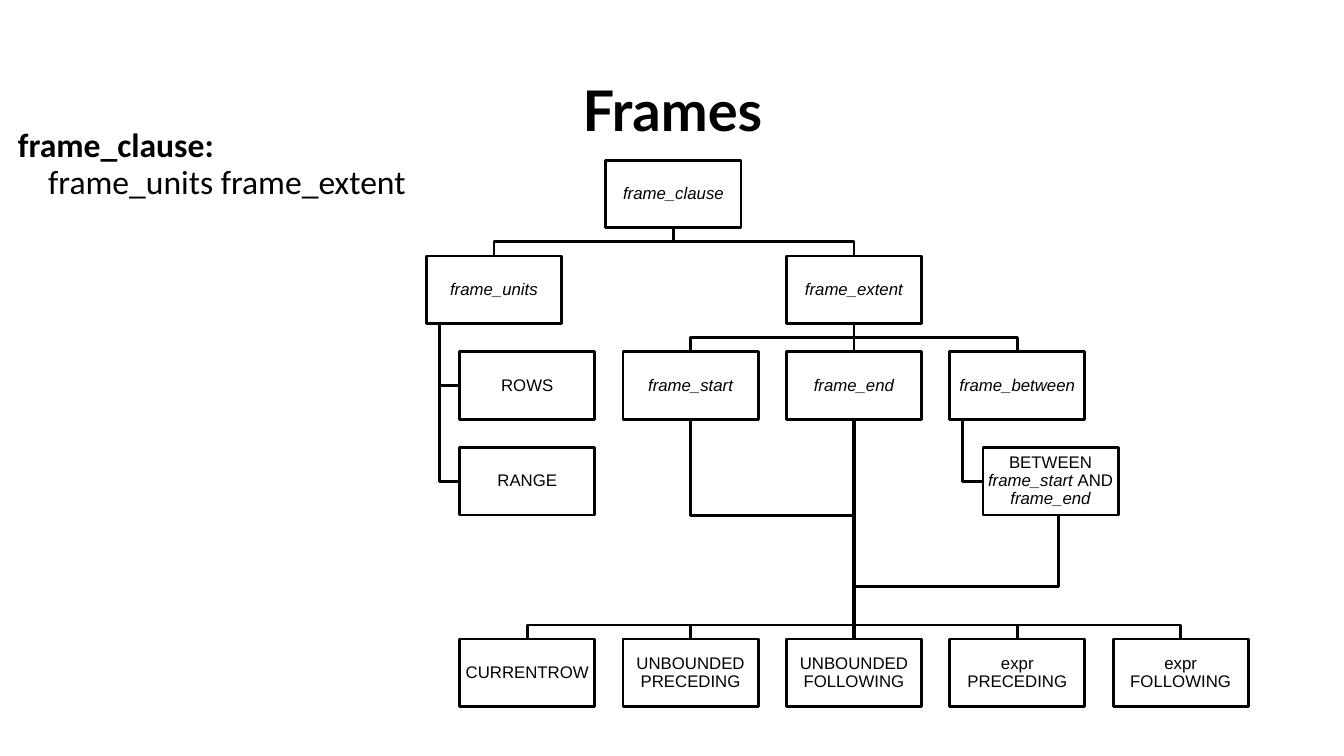
from lxml import etree
from pptx import Presentation
from pptx.dml.color import RGBColor
from pptx.enum.shapes import MSO_CONNECTOR, MSO_SHAPE
from pptx.enum.text import MSO_ANCHOR, PP_ALIGN
from pptx.oxml.ns import qn
from pptx.util import Inches, Pt

STRAIGHT = MSO_CONNECTOR.STRAIGHT
RECTANGLE = MSO_SHAPE.RECTANGLE
MIDDLE, TOP = MSO_ANCHOR.MIDDLE, MSO_ANCHOR.TOP
CENTER, LEFT = PP_ALIGN.CENTER, PP_ALIGN.LEFT

BOX_W, BOX_H = 1.34, 0.67
COL_LEFT, COL_STEP = 4.56, 1.62
ROW_TOP, ROW_STEP = 1.59, 0.95
GAP = ROW_STEP - BOX_H


def color(hex_value):
    return RGBColor.from_string(hex_value)


def col(index):
    return COL_LEFT + COL_STEP * index


def row(index):
    return ROW_TOP + ROW_STEP * index


def mid(left):
    return left + BOX_W / 2


def write(frame, paragraphs, font, size, align=LEFT, anchor=TOP, margins=(0.1, 0.05)):
    """Each paragraph is (indent, [(text, style), ...]); style holds 'b' and/or 'i'."""
    frame.word_wrap = True
    frame.vertical_anchor = anchor
    frame.margin_left = frame.margin_right = Inches(margins[0])
    frame.margin_top = frame.margin_bottom = Inches(margins[1])
    for number, (indent, runs) in enumerate(paragraphs):
        paragraph = frame.add_paragraph() if number else frame.paragraphs[0]
        paragraph.alignment = align
        paragraph.line_spacing = 0.9
        if indent:
            paragraph._p.get_or_add_pPr().set("marL", str(Inches(indent)))
        for text, style in runs:
            run = paragraph.add_run()
            run.text = text
            run.font.name, run.font.size = font, Pt(size)
            run.font.bold, run.font.italic = "b" in style, "i" in style
            run.font.color.rgb = color(Diagram.INK)


class Diagram:
    INK, PAPER = "000000", "FFFFFF"
    THIN, THICK = 2, 2.25

    def __init__(self, slide):
        self.shapes = slide.shapes

    def outline(self, shape, width):
        shape.line.color.rgb = color(self.INK)
        shape.line.width = Pt(width)

    def label(self, left, top, width, height, paragraphs, **style):
        area = self.shapes.add_textbox(*map(Inches, (left, top, width, height)))
        write(area.text_frame, paragraphs, **style)

    def box(self, left, top, runs):
        node = self.shapes.add_shape(RECTANGLE, *map(Inches, (left, top, BOX_W, BOX_H)))
        node.shadow.inherit = False
        node.fill.solid()
        node.fill.fore_color.rgb = color(self.PAPER)
        self.outline(node, self.THIN)
        write(node.text_frame, [(0, runs)], font="Arial", size=12,
              align=CENTER, anchor=MIDDLE, margins=(0.01, 0.01))
        return node

    def elbow(self, points, width=THIN):
        corners = [(Inches(x), Inches(y)) for x, y in points]
        builder = self.shapes.build_freeform(*corners[0])
        builder.add_line_segments(corners[1:], close=False)
        branch = builder.convert_to_shape()
        branch.shadow.inherit = False
        branch.fill.background()
        self.outline(branch, width)

    def fork(self, x, child_top, child_centers):
        bar = child_top - GAP / 2
        for child in child_centers:
            self.elbow([(x, child_top - GAP), (x, bar), (child, bar), (child, child_top)])

    def hang(self, x, top, child_left, child_top):
        middle = child_top + BOX_H / 2
        self.elbow([(x, top), (x, middle), (child_left, middle)])

    def drop(self, upper, lower, width=THIN):
        link = self.shapes.add_connector(STRAIGHT, 0, 0, 0, 0)
        link.begin_connect(upper, 2)
        link.end_connect(lower, 0)
        self.outline(link, width)
        etree.SubElement(link._element.spPr, qn("a:effectLst"))


def main():
    deck = Presentation()
    deck.slide_width, deck.slide_height = Inches(13.33), Inches(7.5)
    diagram = Diagram(deck.slides.add_slide(deck.slide_layouts[6]))

    # Title and grammar rule
    diagram.label(0.92, 0.4, 11.5, 1.45, [(0, [("Frames", "b")])],
                  font="Lato", size=40, align=CENTER, anchor=MIDDLE)
    diagram.label(0.08, 1.23, 4.15, 0.94,
                  [(0, [("frame_clause:", "b")]), (0.3, [("frame_units frame_extent", "")])],
                  font="Calibri", size=24)

    # Branches of the tree
    clause_left, units_left, between_left = 6.01, 4.23, 9.75
    trunk = mid(col(2))
    diagram.fork(mid(clause_left), row(1), [mid(units_left), trunk])
    diagram.fork(trunk, row(2), [mid(col(1)), mid(col(3))])
    diagram.fork(trunk, row(5), [mid(col(i)) for i in (0, 1, 3, 4)])
    for level in (2, 3):
        diagram.hang(4.36, row(1) + BOX_H, col(0), row(level))
    diagram.hang(9.55, row(2) + BOX_H, between_left, row(3))

    # Grammar terms
    diagram.box(clause_left, row(0), [("frame_clause", "i")])
    diagram.box(units_left, row(1), [("frame_units", "i")])
    extent = diagram.box(col(2), row(1), [("frame_extent", "i")])
    for level, unit in enumerate(("ROWS", "RANGE"), start=2):
        diagram.box(col(0), row(level), [(unit, "")])
    _, frame_end, _ = [
        diagram.box(col(i), row(2), [(term, "i")])
        for i, term in enumerate(("frame_start", "frame_end", "frame_between"), start=1)]
    diagram.box(between_left, row(3), [("BETWEEN ", ""), ("frame_start ", "i"),
                                       ("AND ", ""), ("frame_end", "i")])

    # Frame bounds
    bounds = [
        diagram.box(col(i), row(5), [(bound, "")])
        for i, bound in enumerate(("CURRENTROW", "UNBOUNDED PRECEDING", "UNBOUNDED FOLLOWING",
                                   "expr PRECEDING", "expr FOLLOWING"))]

    # Trunk and the lines that join it
    diagram.drop(extent, frame_end)
    diagram.drop(frame_end, bounds[2], Diagram.THICK)
    join = row(3) + BOX_H
    diagram.elbow([(mid(col(1)), row(2) + BOX_H), (mid(col(1)), join), (trunk, join)],
                  Diagram.THICK)
    diagram.elbow([(10.5, join), (10.5, 5.82), (trunk, 5.82)], Diagram.THICK)

    deck.save("out.pptx")


if __name__ == "__main__":
    main()
